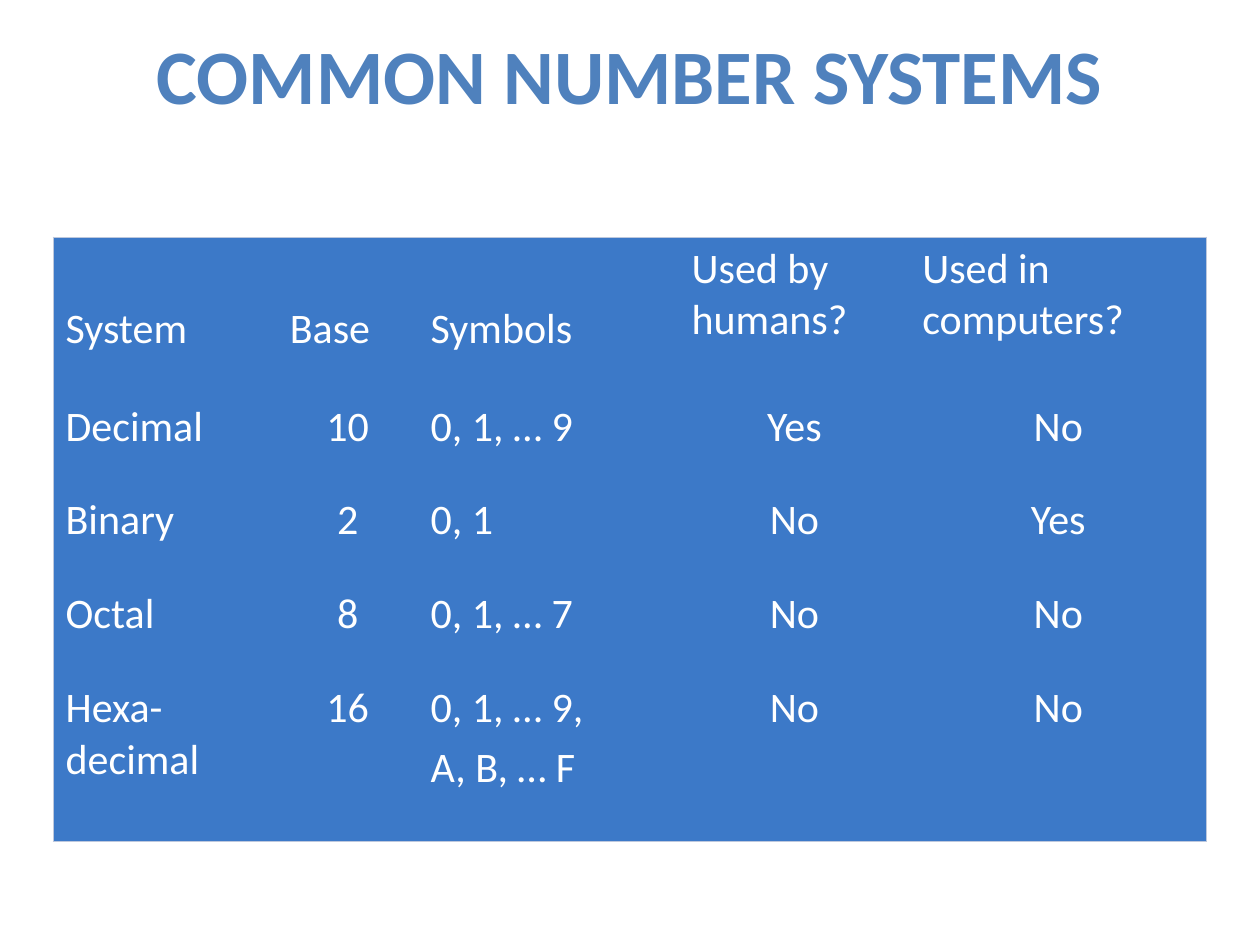
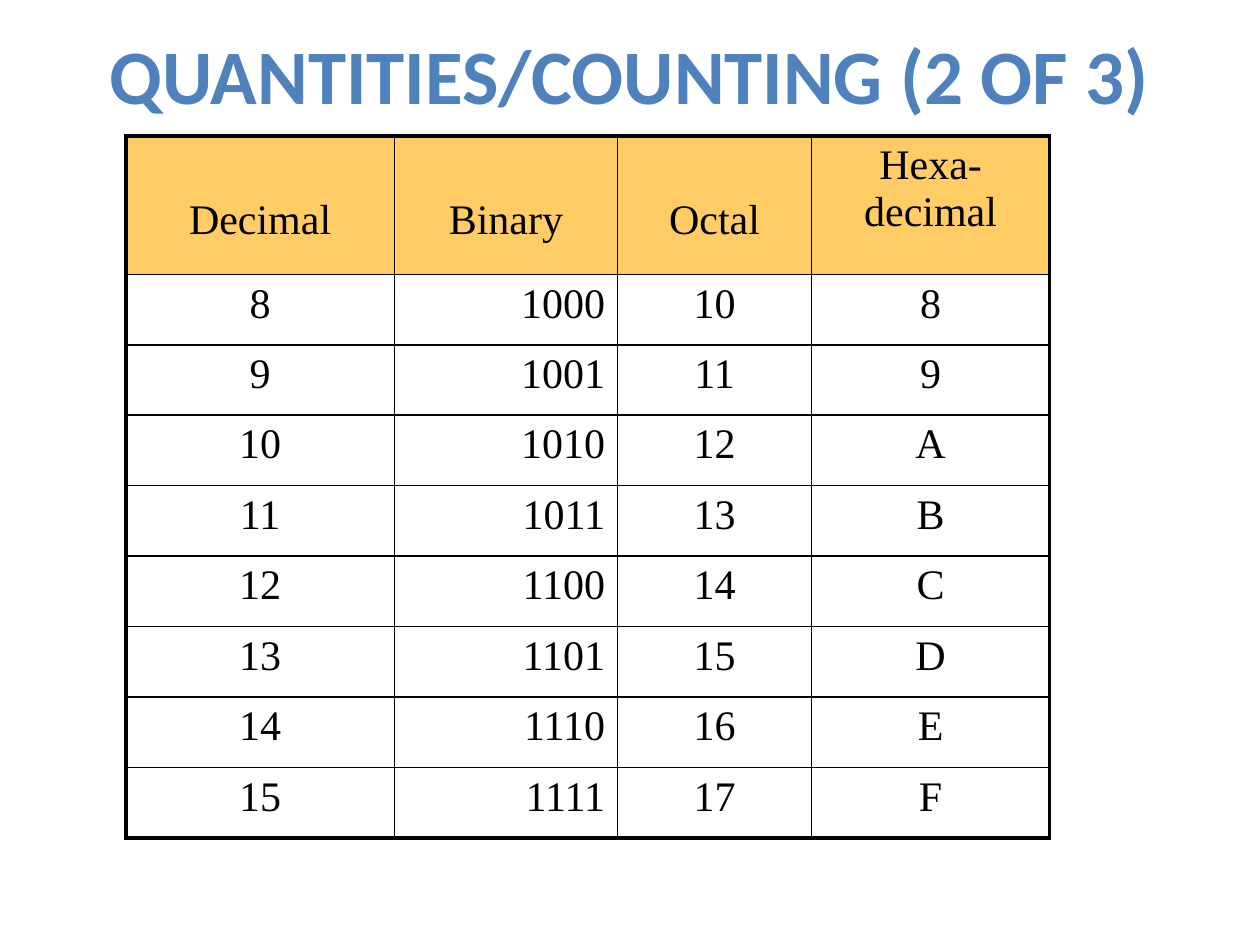
from dataclasses import dataclass

from lxml import etree
from pptx import Presentation
from pptx.dml.color import RGBColor
from pptx.enum.text import MSO_ANCHOR, PP_ALIGN
from pptx.oxml.ns import qn
from pptx.util import Cm, Pt

LEFT, CENTER, RIGHT = PP_ALIGN.LEFT, PP_ALIGN.CENTER, PP_ALIGN.RIGHT
MIDDLE = MSO_ANCHOR.MIDDLE
PLAIN_TABLE = "{2D5ABB26-0587-4C30-8999-92F81FD0307C}"


def color(value):
    """Turn a hex string into a colour."""
    return RGBColor.from_string(value)


@dataclass
class TableLook:
    """Hold the fonts, fills and borders of one table."""
    font: str
    ink: str
    header_fill: str
    body_fill: str
    border: str
    outer_width: float
    inner_width: float
    header_align: int
    body_aligns: tuple
    header_drop: float


class Deck:
    """Hold the shared style and the slide being built."""

    def __init__(self):
        self.presentation = Presentation()
        self.presentation.slide_width = Cm(25.4)
        self.presentation.slide_height = Cm(19.05)
        self.slide = None

    def style(self, paragraph, font, size, ink, align, bold=False):
        """Set the font and alignment of one paragraph."""
        paragraph.alignment = align
        paragraph.font.name = font
        paragraph.font.size = Pt(size)
        paragraph.font.bold = bold
        paragraph.font.color.rgb = color(ink)

    def start(self, heading):
        """Add a blank slide with its heading."""
        self.slide = self.presentation.slides.add_slide(self.presentation.slide_layouts[6])
        box = self.slide.shapes.add_textbox(Cm(1.9), Cm(0.43), Cm(21.6), Cm(2.11))
        frame = box.text_frame
        frame.word_wrap = True
        frame.vertical_anchor = MIDDLE
        frame.margin_left = frame.margin_right = 0
        frame.text = heading
        self.style(frame.paragraphs[0], "Calibri", 44, "4F81BD", CENTER, bold=True)

    def borders(self, cell, widths, ink):
        """Draw the cell sides whose width is above zero."""
        properties = cell._tc.get_or_add_tcPr()
        drawn = [(side, width) for side, width in zip("LRTB", widths) if width]
        for place, (side, width) in enumerate(drawn):
            line = etree.Element(qn(f"a:ln{side}"), w=str(Pt(width)))
            fill = etree.SubElement(line, qn("a:solidFill"))
            etree.SubElement(fill, qn("a:srgbClr"), val=ink)
            properties.insert(place, line)

    def fill_cell(self, cell, text, look, fill, align):
        """Write one cell and paint its background."""
        cell.text = text
        for paragraph in cell.text_frame.paragraphs:
            self.style(paragraph, look.font, 24, look.ink, align)
            paragraph.space_before = Pt(4.8)
        if fill:
            cell.fill.solid()
            cell.fill.fore_color.rgb = color(fill)
        else:
            cell.fill.background()

    def table(self, left, top, widths, heights, rows, look):
        """Add a table whose first row is the header."""
        frame = self.slide.shapes.add_table(
            len(rows), len(widths), Cm(left), Cm(top), Cm(sum(widths)), Cm(sum(heights)))
        table = frame.table
        table.first_row = table.horz_banding = False
        table._tbl.tblPr.find(qn("a:tableStyleId")).text = PLAIN_TABLE
        for column, width in zip(table.columns, widths):
            column.width = Cm(width)
        for row, height in zip(table.rows, heights):
            row.height = Cm(height)
        last_row, last_column = len(rows) - 1, len(widths) - 1
        for r, texts in enumerate(rows):
            for c, text in enumerate(texts):
                cell = table.cell(r, c)
                fill = look.body_fill if r else look.header_fill
                align = look.body_aligns[c] if r else look.header_align
                self.fill_cell(cell, text, look, fill, align)
                if r == 0 and c < 3:
                    cell.margin_top = Cm(look.header_drop)
                edges = (c == 0, c == last_column, r == 0, r == last_row)
                sides = [look.outer_width if edge else look.inner_width for edge in edges]
                self.borders(cell, sides, look.border)


deck = Deck()

deck.start("COMMON NUMBER SYSTEMS")
systems = [
    ("System", "Base", "Symbols", "Used by humans?", "Used in computers?"),
    ("Decimal", "10", "0, 1, … 9", "Yes", "No"),
    ("Binary", "2", "0, 1", "No", "Yes"),
    ("Octal", "8", "0, 1, … 7", "No", "No"),
    ("Hexa-\vdecimal", "16", "0, 1, … 9,\nA, B, … F", "No", "No"),
]
systems_look = TableLook(
    font="Calibri", ink="FFFFFF", header_fill="3C79C8", body_fill="3C79C8",
    border="BDC8DD", outer_width=0.75, inner_width=0, header_align=LEFT,
    body_aligns=(LEFT, CENTER, LEFT, CENTER, CENTER), header_drop=1.34)
deck.table(1.07, 4.78, (4.52, 2.84, 5.26, 4.65, 5.99),
           (3.18, 1.88, 1.9, 1.9, 3.33), systems, systems_look)

deck.start("QUANTITIES/COUNTING (2 OF 3)")
counting = [("Decimal", "Binary", "Octal", "Hexa-\vdecimal")]
counting += [(str(n), f"{n:b}", f"{n:o}", f"{n:X}") for n in range(8, 16)]
counting_look = TableLook(
    font="Times New Roman", ink="000000", header_fill="FFCC66", body_fill="",
    border="000000", outer_width=2.25, inner_width=1, header_align=CENTER,
    body_aligns=(CENTER, RIGHT, CENTER, CENTER), header_drop=1.24)
deck.table(2.54, 2.74, (5.41, 4.5, 3.91, 4.8),
           [2.79] + [1.42] * 8, counting, counting_look)

deck.presentation.save("out.pptx")
